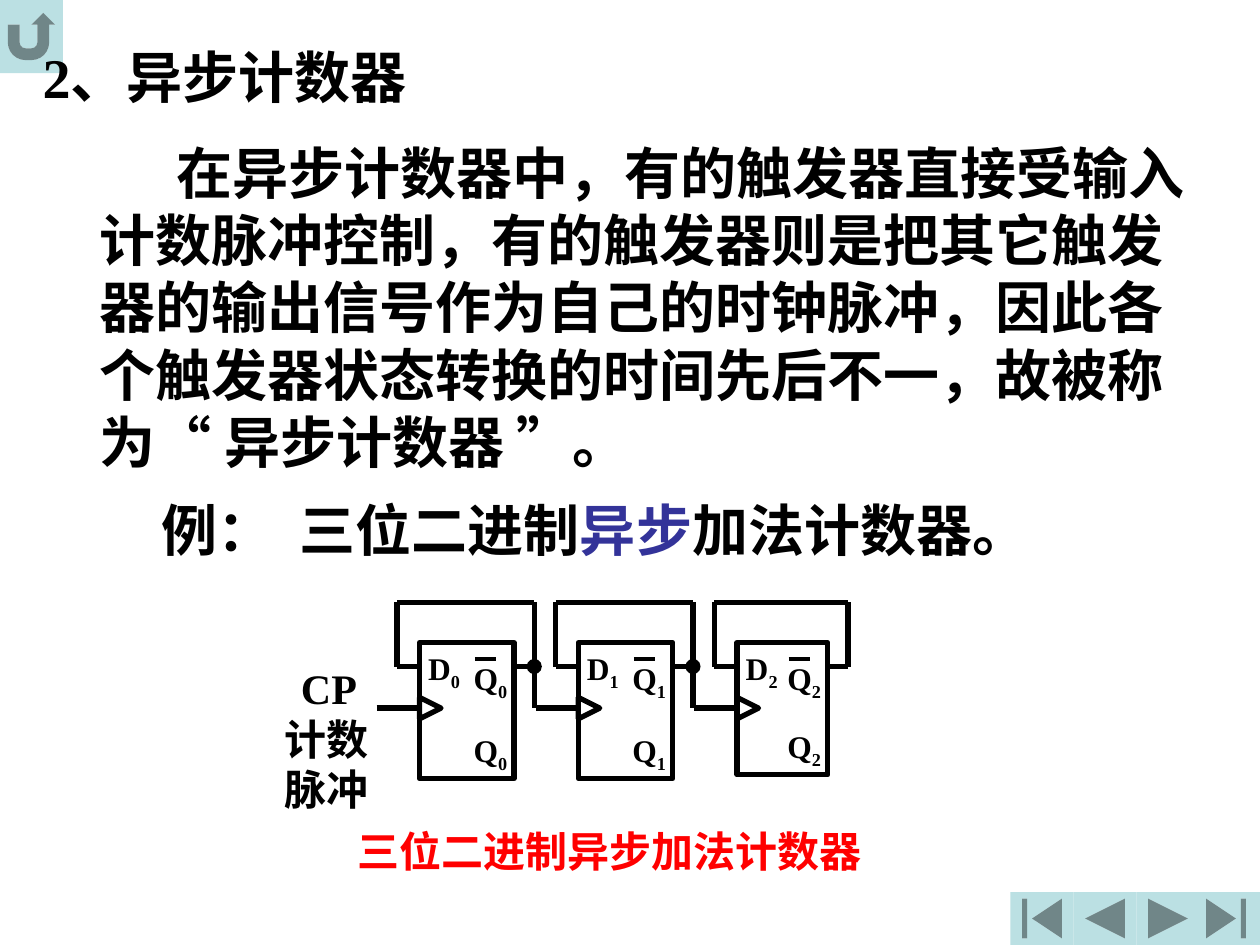
from lxml import etree
from pptx import Presentation
from pptx.dml.color import RGBColor
from pptx.enum.shapes import MSO_CONNECTOR, MSO_SHAPE
from pptx.oxml.ns import qn
from pptx.util import Inches, Pt

STRAIGHT = MSO_CONNECTOR.STRAIGHT
RECTANGLE = MSO_SHAPE.RECTANGLE
TRIANGLE = MSO_SHAPE.FLOWCHART_EXTRACT
OVAL = MSO_SHAPE.OVAL
RETURN = MSO_SHAPE.ACTION_BUTTON_RETURN
PREVIOUS = MSO_SHAPE.ACTION_BUTTON_BACK_OR_PREVIOUS
NEXT = MSO_SHAPE.ACTION_BUTTON_FORWARD_OR_NEXT
BEGINNING = MSO_SHAPE.ACTION_BUTTON_BEGINNING
END = MSO_SHAPE.ACTION_BUTTON_END

COLORS = {"black": "000000", "red": "FF0000", "blue": "333399", "button": "BBE0E3"}
FONT = "Times New Roman"

# The slide is a grid of 100 columns by 75 rows
SLIDE_WIDTH, SLIDE_HEIGHT = Inches(10), Inches(7.5)
COLUMN, ROW = SLIDE_WIDTH / 100, SLIDE_HEIGHT / 75


def columns(count):
    return round(count * COLUMN)


def rows(count):
    return round(count * ROW)


def place(box):
    left, top, width, height = box
    return columns(left), rows(top), columns(width), rows(height)


def color(name):
    return RGBColor.from_string(COLORS[name])


def add_shape(slide, kind, box, fill=None, line_width=None):
    shape = slide.shapes.add_shape(kind, *place(box))
    shape.shadow.inherit = False
    if fill:
        shape.fill.solid()
        shape.fill.fore_color.rgb = color(fill)
    else:
        shape.fill.background()
    if line_width:
        shape.line.color.rgb = color("black")
        shape.line.width = Pt(line_width)
    else:
        shape.line.fill.background()
    return shape


def add_wire(slide, x1, y1, x2, y2, width=3):
    wire = slide.shapes.add_connector(
        STRAIGHT, columns(x1), rows(y1), columns(x2), rows(y2))
    wire.line.color.rgb = color("black")
    wire.line.width = Pt(width)
    etree.SubElement(wire._element.spPr, qn("a:effectLst"))


def add_text(slide, box, runs, size, indent=0, tab=None):
    """Each run is (text, color name, is subscript)."""
    frame = slide.shapes.add_textbox(*place(box)).text_frame
    frame.word_wrap = True
    paragraph = frame.paragraphs[0]
    properties = paragraph._p.get_or_add_pPr()
    if indent:
        properties.set("indent", str(columns(indent)))
    if tab:
        tabs = etree.SubElement(properties, qn("a:tabLst"))
        etree.SubElement(tabs, qn("a:tab"), pos=str(columns(tab)), algn="l")
    for text, color_name, subscript in runs:
        run = paragraph.add_run()
        run.text = text
        run.font.name = FONT
        run.font.size = Pt(size)
        run.font.bold = True
        run.font.color.rgb = color(color_name)
        if subscript:
            run._r.get_or_add_rPr().set("baseline", "-25000")


def add_buttons(slide, box):
    """Navigation row along the bottom right."""
    left, top, width, height = box
    for kind, offset, extra in ((PREVIOUS, 5, 0), (NEXT, 10, 0),
                                (BEGINNING, 0, 0), (END, 14.2, 0.8)):
        add_shape(slide, kind, (left + offset, top, width + extra, height), "button")


def add_flip_flop(slide, box, number):
    """D flip-flop with its clock mark and pin labels."""
    left, top, width, height = box
    right, bottom = left + width, top + height
    add_shape(slide, RECTANGLE, box, line_width=3)
    clock = add_shape(slide, TRIANGLE, (left, top + 4.35, 1.7, 1.7), line_width=3)
    clock.rotation = 90

    pins = (("D", left - 0.3, top), ("Q", right - 4.2, top + 0.8),
            ("Q", right - 4.2, bottom - 4.3))
    for letter, x, y in pins:
        add_text(slide, (x, y, 5.5, 4.4),
                 [(letter, "black", False), (str(number), "black", True)], 18)
    add_wire(slide, right - 3.1, top + 1.3, right - 1.4, top + 1.3, 2.25)


def add_feedback(slide, box, drives_next):
    """Loop from inverted Q back to D, plus the clock input wire."""
    left, top, width, _ = box
    right = left + width
    loop_left, loop_right = left - 1.8, right + 1.6
    loop_top, data_y, clock_y = top - 3.2, top + 1.9, top + 5.2
    add_wire(slide, loop_left, data_y, left, data_y)
    add_wire(slide, loop_left, loop_top, loop_left, data_y)
    add_wire(slide, loop_left, loop_top, loop_right, loop_top)
    add_wire(slide, loop_right, loop_top, loop_right,
             clock_y if drives_next else data_y)
    add_wire(slide, right, data_y, loop_right, data_y)
    add_wire(slide, left - 3.4, clock_y, left, clock_y)
    if drives_next:
        add_shape(slide, OVAL, (loop_right - 0.55, data_y - 0.55, 1.1, 1.1),
                  "black", 0.75)


def add_counter(slide, box):
    """Chain of three flip-flops with the clock label on the left."""
    left, top, width, height = box
    pitch = 12.6
    sizes = ((width, height), (width, height), (width - 0.3, height - 0.3))
    for number, (stage_width, stage_height) in enumerate(sizes):
        stage = (left + number * pitch, top, stage_width, stage_height)
        add_flip_flop(slide, stage, number)
        add_feedback(slide, stage, number < len(sizes) - 1)
    add_text(slide, (left - 10.4, top + 1.1, 8.8, 5), [("CP", "black", False)], 24)
    add_text(slide, (left - 11.7, top + 5.1, 10.4, 9),
             [("计数脉冲", "black", False)], 24)


def main():
    presentation = Presentation()
    presentation.slide_width, presentation.slide_height = SLIDE_WIDTH, SLIDE_HEIGHT
    slide = presentation.slides.add_slide(presentation.slide_layouts[6])

    # Navigation
    add_buttons(slide, (80.2, 70.8, 5, 4.2))
    add_shape(slide, RETURN, (0, 0, 5, 5.8), "button")

    # Heading, explanation and example
    add_text(slide, (2.4, 2.9, 36.5, 6.4), [("2、异步计数器", "black", False)], 32)
    add_text(slide, (6.9, 10.5, 88.9, 27.7), [(
        "在异步计数器中，有的触发器直接受输入计数脉冲控制，"
        "有的触发器则是把其它触发器的输出信号作为自己的时钟脉冲，"
        "因此各个触发器状态转换的时间先后不一，故被称为“ 异步计数器 ”。",
        "black", False)], 32, indent=6.1)
    add_text(slide, (11.8, 38.8, 76.4, 6.4),
             [("例：\t三位二进制", "black", False), ("异步", "blue", False),
              ("加法计数器。", "black", False)], 32, tab=11)

    # Circuit and caption
    add_counter(slide, (33.3, 51, 7.5, 10.8))
    add_text(slide, (27.4, 65, 44.2, 5),
             [("三位二进制异步加法计数器", "red", False)], 24)

    presentation.save("out.pptx")


if __name__ == "__main__":
    main()
